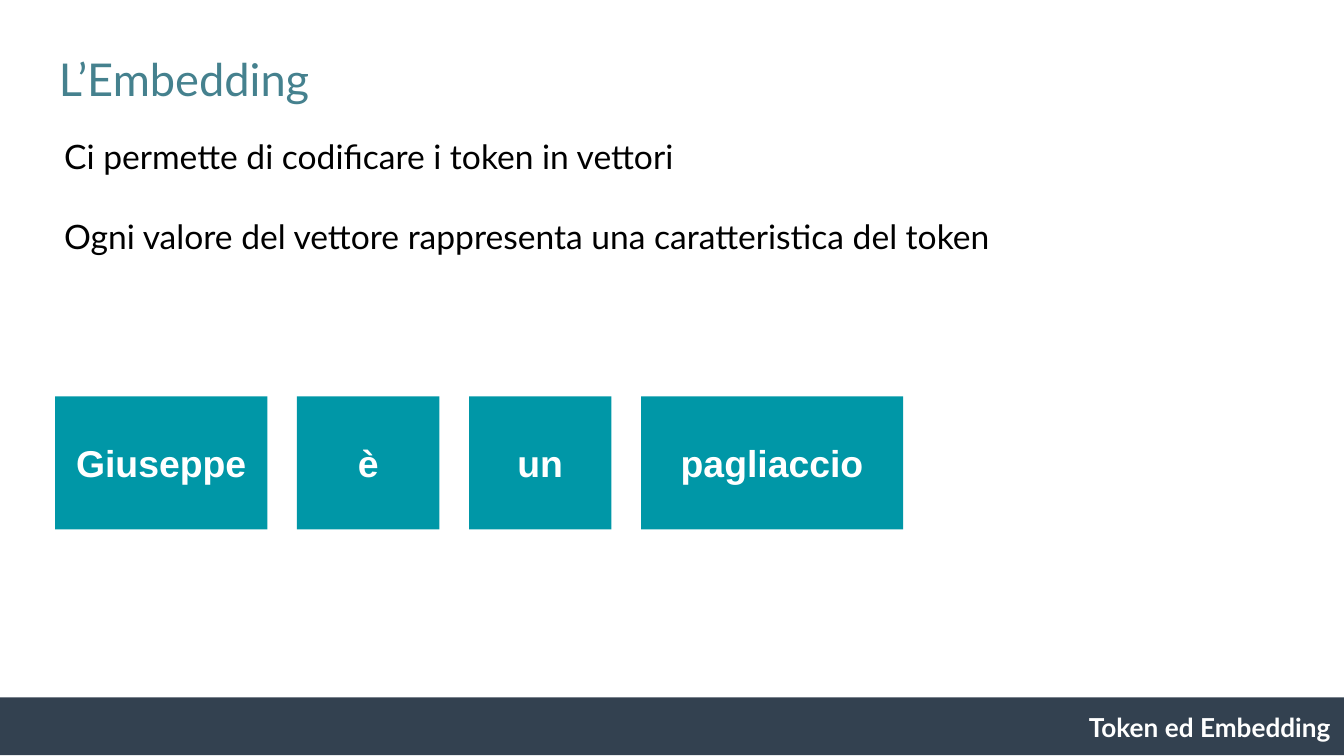
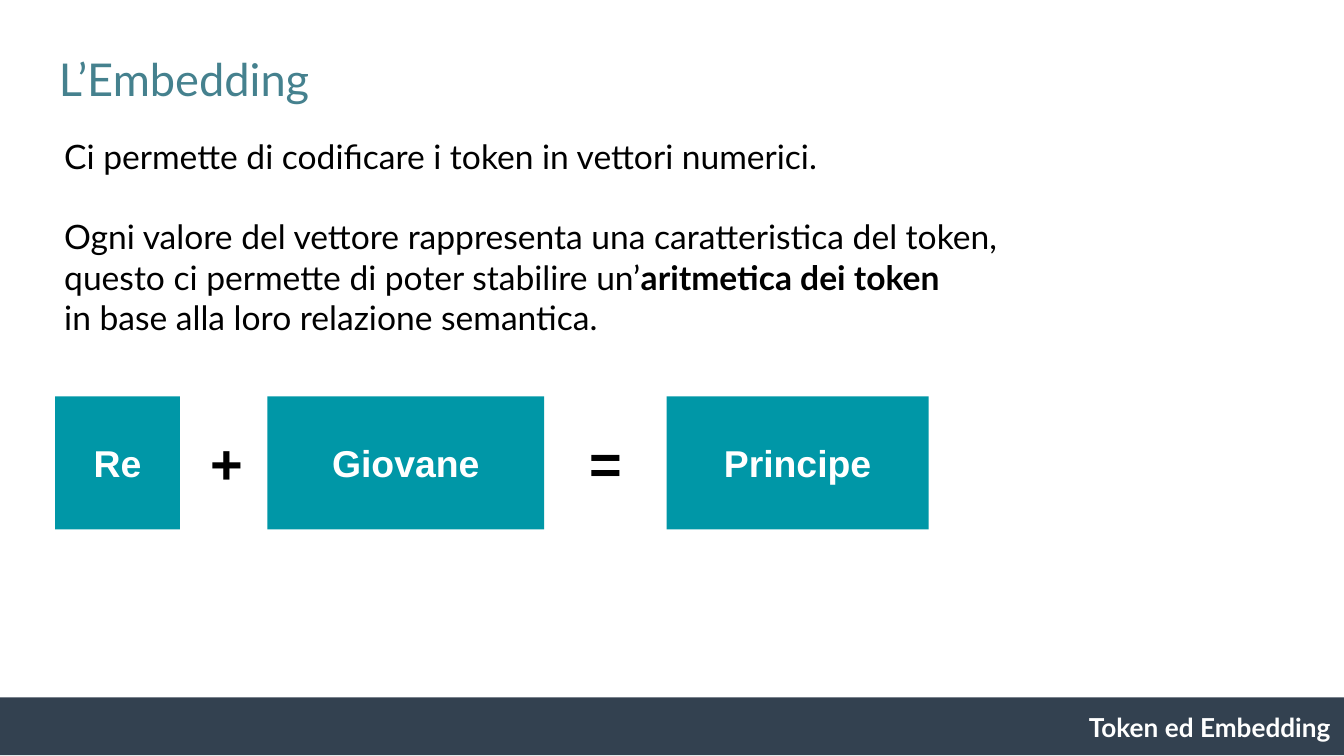
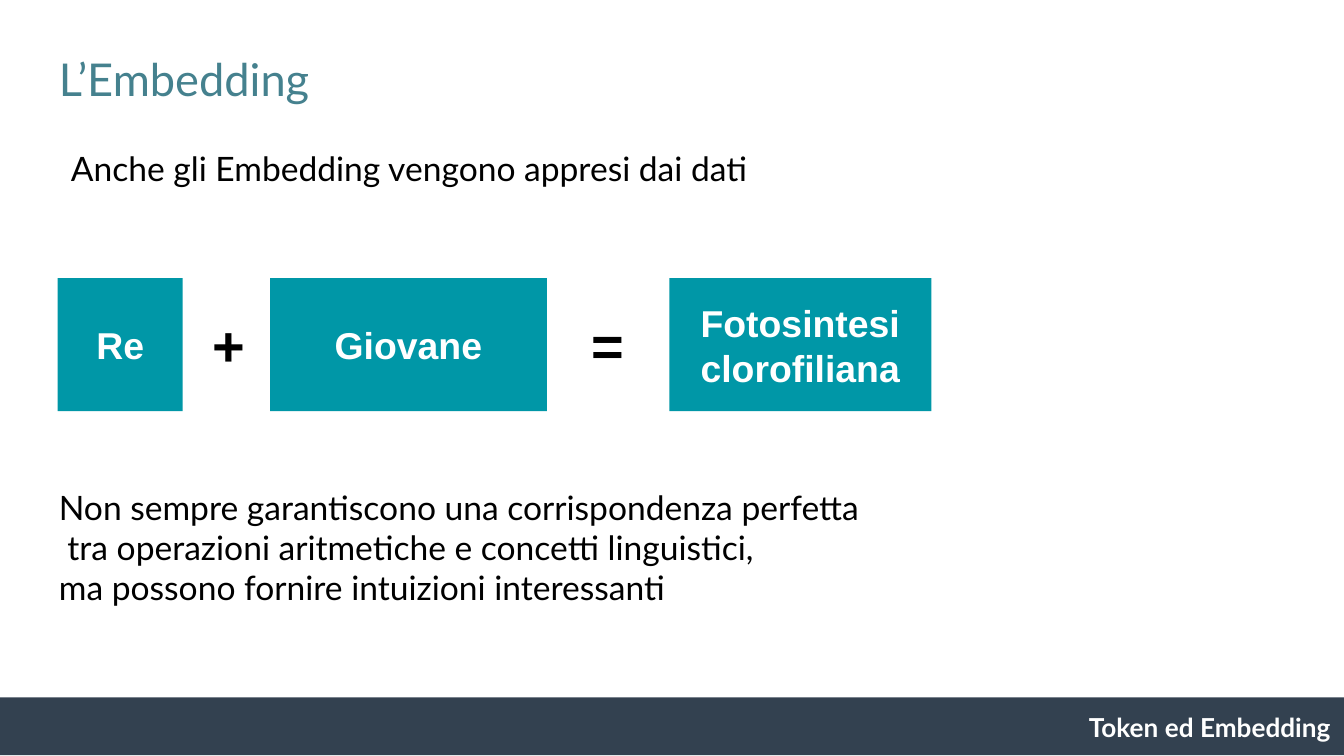
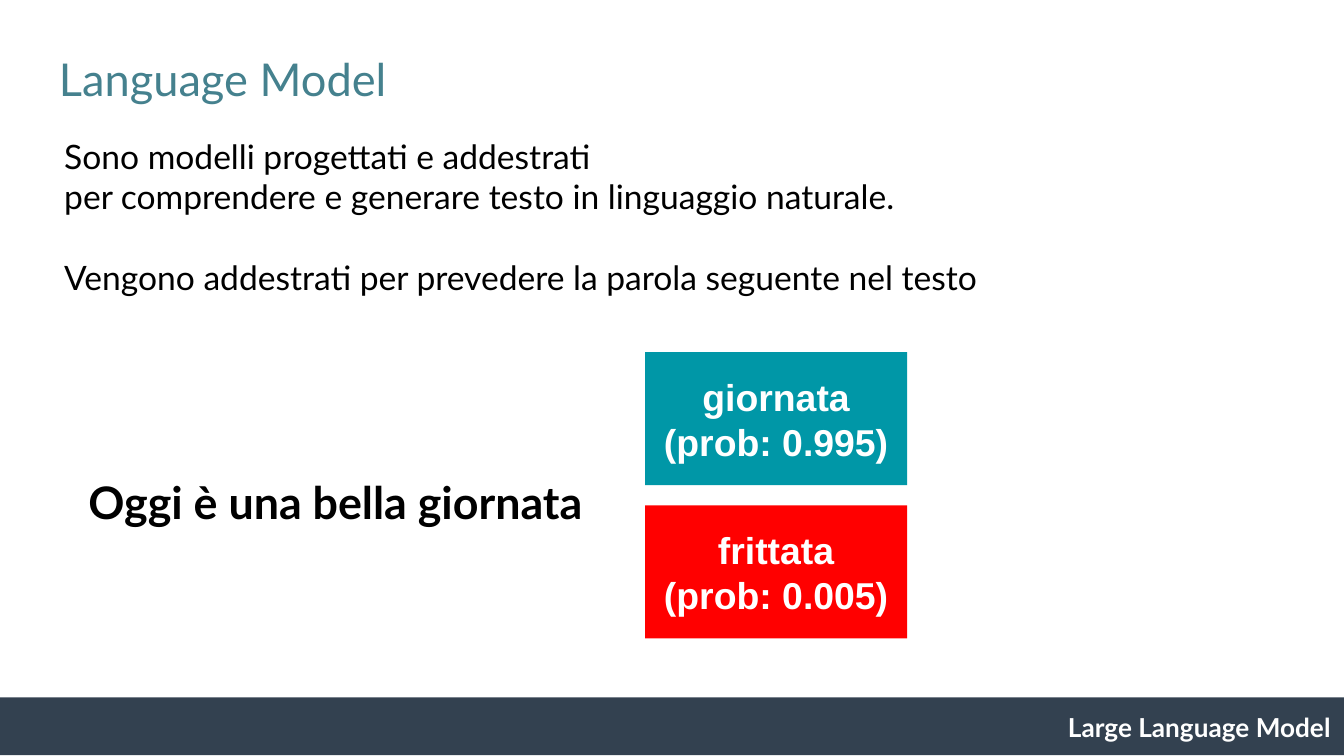
from dataclasses import dataclass

from pptx import Presentation
from pptx.dml.color import RGBColor
from pptx.enum import shapes, text
from pptx.util import Inches, Pt

TEAL, RED, NAVY = "0097A7", "FF0000", "334150"
TITLE_COLOR, BLACK, WHITE = "45818E", "000000", "FFFFFF"
SLIDE_WIDTH = Inches(10)
SLIDE_HEIGHT = SLIDE_WIDTH * 9 // 16
TOKEN_HEIGHT = 0.99
RESULT_WIDTH = 1.95
LINE_18PT = 21.6


@dataclass(frozen=True)
class Style:
    size: float
    font: str = "Lato"
    color: str = BLACK
    bold: bool = False
    align: text.PP_ALIGN = text.PP_ALIGN.LEFT


@dataclass(frozen=True)
class Para:
    text: str
    bold_end: str = ""
    gap: bool = False


@dataclass(frozen=True)
class Token:
    label: str
    width: float


TITLE = Style(24.2, color=TITLE_COLOR)
BODY = Style(18)
SENTENCE = Style(24, bold=True)
FOOTER = Style(14, color=WHITE, bold=True, align=text.PP_ALIGN.RIGHT)
TOKEN = Style(20, "Arial", WHITE, True, text.PP_ALIGN.CENTER)
OPERATOR = Style(30, "Arial", BLACK, True, text.PP_ALIGN.CENTER)


def rgb(color: str) -> RGBColor:
    return RGBColor.from_string(color)


def write(tf, paras: list[Para], style: Style) -> None:
    tf.word_wrap = True
    tf.margin_left = tf.margin_right = tf.margin_top = tf.margin_bottom = Inches(0.1)
    for i, para in enumerate(paras):
        p = tf.add_paragraph() if i else tf.paragraphs[0]
        p.alignment = style.align
        p.font.size = Pt(style.size)
        p.font.name = style.font
        p.font.bold = style.bold
        p.font.color.rgb = rgb(style.color)
        if para.gap:
            p.space_before = Pt(LINE_18PT)
        p.add_run().text = para.text
        if para.bold_end:
            r = p.add_run()
            r.text = para.bold_end
            r.font.bold = True


def add_text(s, left: float, top: float, width: float, height: float,
             paras: list[Para], style: Style) -> None:
    sp = s.shapes.add_textbox(Inches(left), Inches(top), Inches(width), Inches(height))
    write(sp.text_frame, paras, style)


def add_body(s, paras: list[Para], left: float = 0.38, top: float = 0.91) -> None:
    add_text(s, left, top, 8.36, 0.63, paras, BODY)


def add_rect(s, left: float, top: float, width: float, height: float, color: str):
    sp = s.shapes.add_shape(shapes.MSO_SHAPE.RECTANGLE, Inches(left), Inches(top),
                            Inches(width), Inches(height))
    sp.shadow.inherit = False
    sp.fill.solid()
    sp.fill.fore_color.rgb = rgb(color)
    sp.line.fill.background()
    return sp


def add_token(s, left: float, top: float, width: float, *lines: str,
              color: str = TEAL) -> None:
    tf = add_rect(s, left, top, width, TOKEN_HEIGHT, color).text_frame
    tf.vertical_anchor = text.MSO_ANCHOR.MIDDLE
    write(tf, [Para(line) for line in lines], TOKEN)


def add_equation(s, left: float, top: float, result: str) -> None:
    """Draw the sum Re + Giovane = result."""
    add_token(s, left, top, 0.93, "Re")
    add_token(s, left + 1.58, top, 2.06, "Giovane")
    add_token(s, left + 4.55, top, RESULT_WIDTH, result)
    for sign, offset in (("=", 3.68), ("+", 0.86)):
        add_text(s, left + offset, top + 0.14, 0.83, 0.71, [Para(sign)], OPERATOR)


def add_slide(prs, title: str, footer: str):
    s = prs.slides.add_slide(prs.slide_layouts[6])
    add_text(s, 0.34, 0.28, 9.32, 0.63, [Para(title)], TITLE)
    add_rect(s, -0.02, 5.19, 10.02, 0.43, NAVY)
    add_text(s, 5.75, 5.19, 4.25, 0.44, [Para(footer)], FOOTER)
    return s


def add_embedding_slide(prs):
    return add_slide(prs, "L’Embedding", "Token ed Embedding")


def build_tokens(prs) -> None:
    s = add_embedding_slide(prs)
    left, gap = 0.41, 0.22
    for token in (Token("Giuseppe", 1.58), Token("è", 1.06),
                  Token("un", 1.06), Token("pagliaccio", RESULT_WIDTH)):
        add_token(s, left, 2.95, token.width, token.label)
        left += token.width + gap
    add_body(s, [
        Para("Ci permette di codificare i token in vettori"),
        Para("Ogni valore del vettore rappresenta una caratteristica del token", gap=True),
    ])


def build_arithmetic(prs) -> None:
    s = add_embedding_slide(prs)
    add_equation(s, 0.41, 2.95, "Principe")
    add_body(s, [
        Para("Ci permette di codificare i token in vettori numerici."),
        Para("Ogni valore del vettore rappresenta una caratteristica del token,", gap=True),
        Para("questo ci permette di poter stabilire un’", "aritmetica dei token"),
        Para("in base alla loro relazione semantica."),
    ])


def build_limits(prs) -> None:
    s = add_embedding_slide(prs)
    add_equation(s, 0.43, 2.07, "Fotosintesi clorofiliana")
    add_body(s, [
        Para("Non sempre garantiscono una corrispondenza perfetta"),
        Para(" tra operazioni aritmetiche e concetti linguistici,"),
        Para("ma possono fornire intuizioni interessanti"),
    ], 0.34, 3.52)
    add_body(s, [Para("Anche gli Embedding vengono appresi dai dati")], 0.43, 1)


def build_language_model(prs) -> None:
    s = add_slide(prs, "Language Model", "Large Language Model")
    add_body(s, [
        Para("Sono modelli progettati e addestrati"),
        Para("per comprendere e generare testo in linguaggio naturale."),
        Para("Vengono addestrati per prevedere la parola seguente nel testo", gap=True),
    ])
    add_token(s, 4.8, 2.62, RESULT_WIDTH, "giornata", "(prob: 0.995)")
    add_token(s, 4.8, 3.76, RESULT_WIDTH, "frittata", "(prob: 0.005)", color=RED)
    add_text(s, 0.56, 3.43, 4.12, 0.63, [Para("Oggi è una bella giornata")], SENTENCE)


def main() -> None:
    prs = Presentation()
    prs.slide_width, prs.slide_height = SLIDE_WIDTH, SLIDE_HEIGHT
    for build in (build_tokens, build_arithmetic, build_limits, build_language_model):
        build(prs)
    prs.save("out.pptx")


if __name__ == "__main__":
    main()
